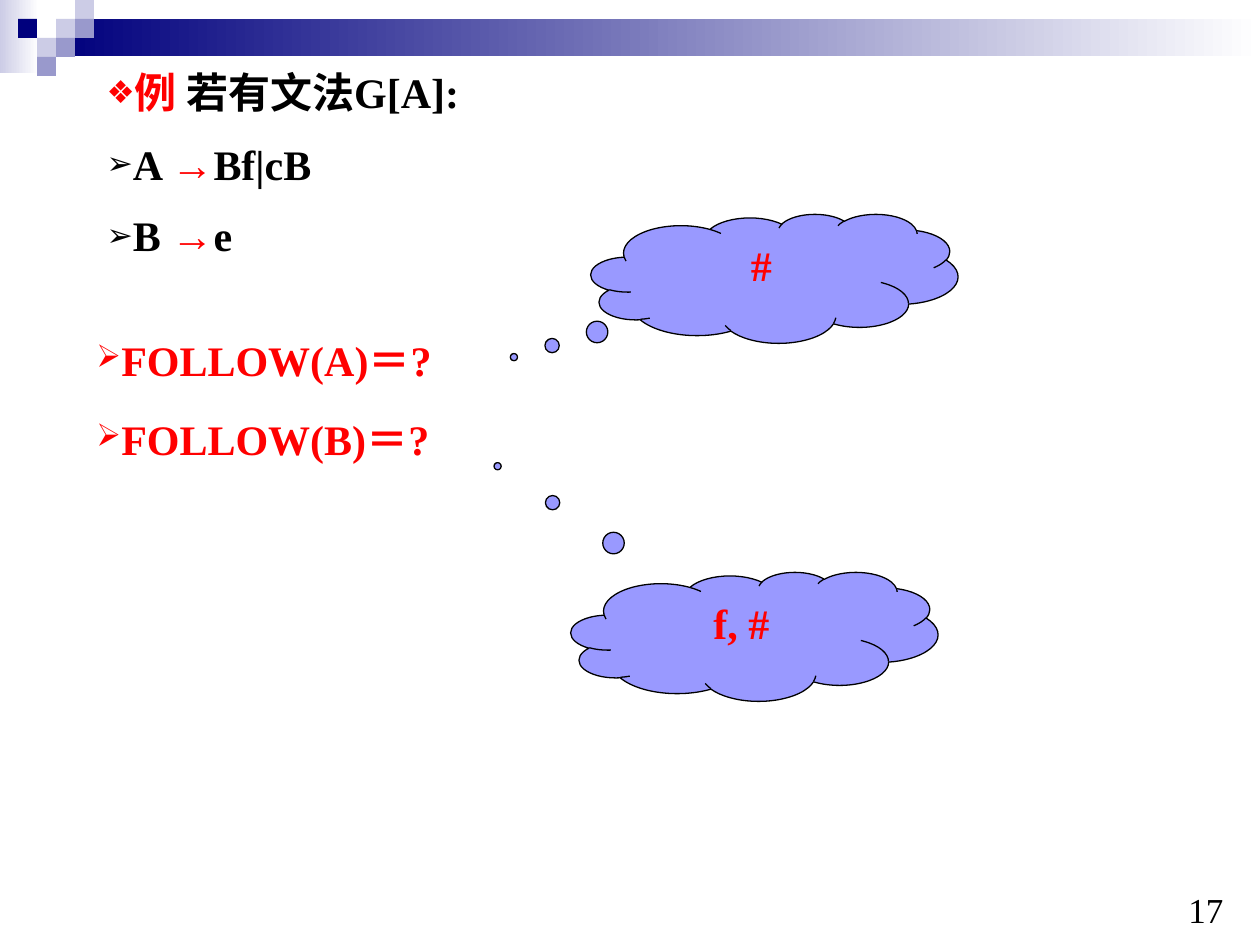
from lxml import etree
from pptx import Presentation
from pptx import util as u
from pptx.dml.color import RGBColor
from pptx.enum import shapes, text
from pptx.oxml.ns import qn

FONT = "Times New Roman"
RED, BLACK, WHITE = "FF0000", "000000", "FFFFFF"
NAVY, LAVENDER, SLATE, CLOUD = "00007D", "CCCCE6", "9999CC", "9999FF"
STEP = 19  # side of one square in the corner mosaic
ARROW = ("→", RED)


def px(length):
    return u.Emu(round(length * 914400 / 126))


def box(left, top, width, height):
    return [px(v) for v in (left, top, width, height)]


def rgb(value):
    return RGBColor.from_string(value)


def add_bullet(paragraph, char, color):
    props = paragraph._p.get_or_add_pPr()
    props.set("marL", "0")
    props.set("indent", "0")
    bullet_color = etree.SubElement(props, qn("a:buClr"))
    etree.SubElement(bullet_color, qn("a:srgbClr")).set("val", color)
    etree.SubElement(props, qn("a:buSzPct")).set("val", "75000")
    etree.SubElement(props, qn("a:buChar")).set("char", char)


def write(paragraph, *parts, size=24, bold=True, align=None, bullet=None,
          before=0, spacing=1.0):
    """Fill a paragraph with (wording, colour) parts."""
    if bullet:
        add_bullet(paragraph, bullet, parts[0][1])
    paragraph.alignment = align
    paragraph.space_before = u.Pt(before)
    paragraph.line_spacing = spacing
    for wording, color in parts:
        run = paragraph.add_run()
        run.text = wording
        run.font.name = FONT
        run.font.size = u.Pt(size)
        run.font.bold = bold
        run.font.color.rgb = rgb(color)


def add_block(slide, color, *place, fade=False):
    block = slide.shapes.add_shape(shapes.MSO_SHAPE.RECTANGLE, *box(*place))
    block.shadow.inherit = False
    block.line.fill.background()
    if fade:
        block.fill.gradient()
        block.fill.gradient_angle = 0
        for stop, tone, position in zip(block.fill.gradient_stops,
                                        (color, WHITE), (0, 1)):
            stop.color.rgb = rgb(tone)
            stop.position = position
    else:
        block.fill.solid()
        block.fill.fore_color.rgb = rgb(color)


def add_banner(slide):
    add_block(slide, LAVENDER, 0, 0, 39, 73, fade=True)
    add_block(slide, NAVY, 57, 19, 1203, 37, fade=True)
    mosaic = [(3, 1, LAVENDER), (4, 0, LAVENDER), (4, 1, SLATE),
              (2, 2, LAVENDER), (1, 1, NAVY), (3, 2, SLATE), (2, 3, SLATE)]
    for column, row, color in mosaic:
        add_block(slide, color, column * STEP - 1, row * STEP, STEP, STEP)


def add_grammar(slide):
    body = slide.placeholders[1]
    body.left, body.top, body.width, body.height = box(94, 66, 1071, 202)
    frame = body.text_frame
    frame.auto_size = text.MSO_AUTO_SIZE.NONE
    frame.vertical_anchor = text.MSO_ANCHOR.TOP
    lines = [("❖", [("例", RED), (" 若有文法G[A]:", BLACK)]),
             ("➢", [("A ", BLACK), ARROW, ("Bf|cB", BLACK)]),
             ("➢", [("B ", BLACK), ARROW, ("e", BLACK)])]
    for index, (bullet, parts) in enumerate(lines):
        paragraph = frame.add_paragraph() if index else frame.paragraphs[0]
        write(paragraph, *parts, bullet=bullet, before=15 if index else 0,
              spacing=0.9)


def add_label(slide, wording, color, *place, **style):
    frame = slide.shapes.add_textbox(*box(*place)).text_frame
    frame.word_wrap = True
    write(frame.paragraphs[0], (wording, color), **style)


def add_thought(slide, answer, left, top, tail):
    cloud = slide.shapes.add_shape(shapes.MSO_SHAPE.CLOUD_CALLOUT,
                                   *box(left, top, 367, 129))
    cloud.shadow.inherit = False
    cloud.adjustments[0], cloud.adjustments[1] = tail
    cloud.fill.solid()
    cloud.fill.fore_color.rgb = rgb(CLOUD)
    cloud.line.color.rgb = rgb(BLACK)
    cloud.line.width = u.Pt(0.75)
    frame = cloud.text_frame
    frame.vertical_anchor = text.MSO_ANCHOR.TOP
    write(frame.paragraphs[0], (answer, RED), align=text.PP_ALIGN.CENTER)


def main():
    deck = Presentation()
    deck.slide_width, deck.slide_height = px(1260), px(945)
    slide = deck.slides.add_slide(deck.slide_layouts[1])
    title = slide.shapes.title._element
    title.getparent().remove(title)

    # Banner and grammar rules
    add_banner(slide)
    add_grammar(slide)

    # Questions with their answers
    for symbol, top in (("A", 334), ("B", 413)):
        add_label(slide, f"FOLLOW({symbol})＝?", RED, 84, top, 427, 58,
                  bullet="➢", spacing=0.9)
    add_thought(slide, "#", 591, 214, (-0.71, 0.61))
    add_thought(slide, "f, #", 571, 572, (-0.7, -1.32))

    # Page number
    add_label(slide, "17", BLACK, 1176, 882, 84, 55, size=20, bold=False)
    deck.save("out.pptx")


if __name__ == "__main__":
    main()
